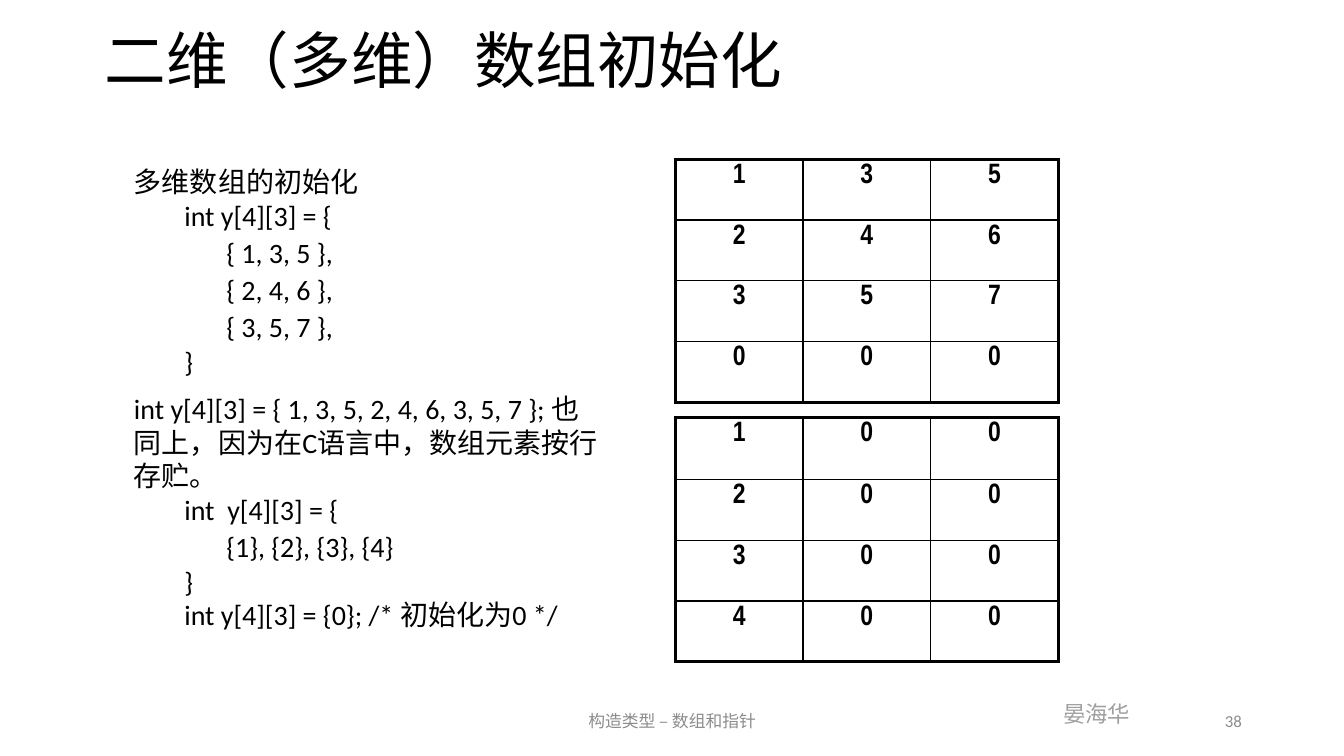
from pptx import Presentation
from pptx.dml.color import RGBColor
from pptx.enum.text import MSO_ANCHOR, PP_ALIGN
from pptx.oxml import parse_xml
from pptx.oxml.ns import nsdecls
from pptx.util import Pt

BLACK, NAME_GREY, FOOTER_GREY = "000000", "9F9F9F", "8C8C8C"


def style(para, size, color=BLACK, font="Calibri", bold=False):
    para.font.size = Pt(size)
    para.font.name = font
    para.font.bold = bold
    para.font.color.rgb = RGBColor.from_string(color)


def add_box(left, top, width, height, anchor=MSO_ANCHOR.MIDDLE, wrap=True):
    frame = page.shapes.add_textbox(Pt(left), Pt(top), Pt(width), Pt(height)).text_frame
    frame.word_wrap = wrap
    frame.vertical_anchor = anchor
    return frame


deck = Presentation()
deck.slide_width, deck.slide_height = Pt(960), Pt(540)
page = deck.slides.add_slide(deck.slide_layouts[6])

# Title
title = add_box(67.7, 12.2, 859.7, 66.2).paragraphs[0]
title.text = "二维（多维）数组初始化"
title.line_spacing = 0.9
style(title, 44)

# Explanation and code: level of each line, then its text
lines = [
    ("heading", "多维数组的初始化"),
    ("code", "int y[4][3] = {"),
    ("values", "{ 1, 3, 5 },"),
    ("values", "{ 2, 4, 6 },"),
    ("values", "{ 3, 5, 7 },"),
    ("code", "}"),
    ("note", "int y[4][3] = { 1, 3, 5, 2, 4, 6, 3, 5, 7 }; 也同上，因为在C语言中，数组元素按行存贮。"),
    ("code", "int  y[4][3] = {"),
    ("values", "{1}, {2}, {3}, {4}"),
    ("code", "}"),
    ("code", "int y[4][3] = {0}; /* 初始化为0 */"),
]
# Left margin, first-line indent, line spacing, space before
levels = {
    "heading": (0, 0, 0.8, 0),
    "code": (54, -18, 0.8, 5),
    "values": (66, 0, 0.9, 5),
    "note": (0, 0, 1.0, 10),
}
body = add_box(88.6, 118.8, 345.6, 358.6, MSO_ANCHOR.TOP)
for number, (level, text) in enumerate(lines):
    para = body.add_paragraph() if number else body.paragraphs[0]
    margin, indent, spacing, before = levels[level]
    properties = para._p.get_or_add_pPr()
    properties.set("marL", str(Pt(margin)))
    properties.set("indent", str(Pt(indent)))
    para.text = text
    para.line_spacing = spacing
    para.space_before = Pt(before)
    style(para, 20)

# Array tables: top, height of the first row, values
arrays = [
    (113.8, 43.4, [(1, 3, 5), (2, 4, 6), (3, 5, 7), (0, 0, 0)]),
    (298.1, 44.4, [(1, 0, 0), (2, 0, 0), (3, 0, 0), (4, 0, 0)]),
]
for top, first_height, rows in arrays:
    table = page.shapes.add_table(4, 3, Pt(482.4), Pt(top), Pt(273.6), Pt(173.6)).table
    table.first_row = table.horz_banding = False
    for column in table.columns:
        column.width = Pt(91.2)
    for r, values in enumerate(rows):
        table.rows[r].height = Pt(43.4 if r else first_height)
        for c, value in enumerate(values):
            cell = table.cell(r, c)
            # Thick outer frame, thin inner lines
            outer = {"lnL": c == 0, "lnR": c == 2, "lnT": r == 0, "lnB": r == 3}
            for side, thick in outer.items():
                cell._tc.get_or_add_tcPr().append(parse_xml(
                    f'<a:{side} {nsdecls("a")} w="{Pt(2.25 if thick else 1)}">'
                    f'<a:solidFill><a:srgbClr val="{BLACK}"/></a:solidFill></a:{side}>'))
            cell.fill.background()
            para = cell.text_frame.paragraphs[0]
            para.text = str(value)
            para.alignment = PP_ALIGN.CENTER
            para.line_spacing = 0.9
            style(para, 20, font="Arial Narrow", bold=True)

# Author, footer and page number
author = add_box(752.4, 496.8, 63.4, 26.6, MSO_ANCHOR.TOP, wrap=False).paragraphs[0]
author.text = "晏海华"
style(author, 16, NAME_GREY)

footers = [
    (318.2, 324, "构造类型 – 数组和指针", PP_ALIGN.CENTER),
    (678.2, 216, "38", PP_ALIGN.RIGHT),
]
for left, width, text, alignment in footers:
    footer = add_box(left, 500.4, width, 28.8).paragraphs[0]
    footer.text = text
    footer.alignment = alignment
    style(footer, 12, FOOTER_GREY)

deck.save("out.pptx")
